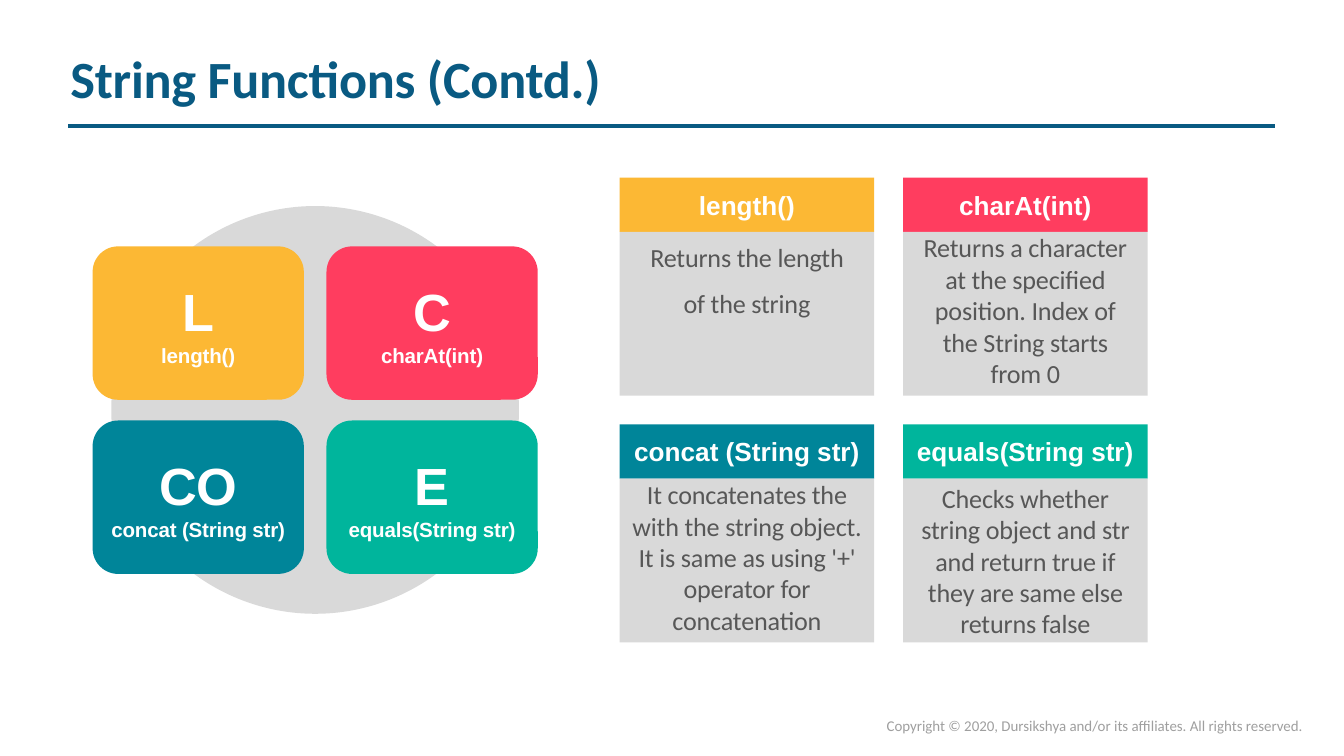
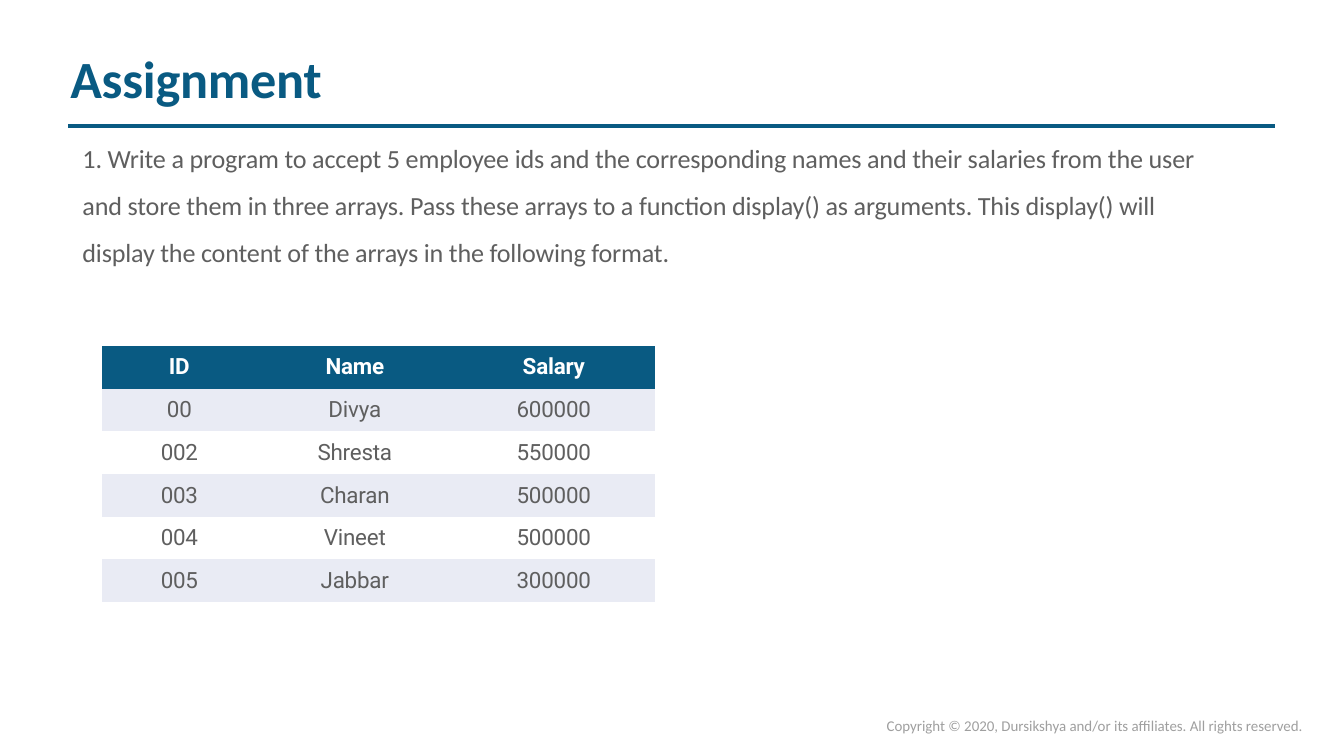
import pptx
import pptx.dml.color
import pptx.enum.shapes
import pptx.enum.text
import pptx.util
from lxml import etree

Pt = pptx.util.Pt
RGBColor = pptx.dml.color.RGBColor
MSO_SHAPE = pptx.enum.shapes.MSO_SHAPE
ANCHOR = pptx.enum.text.MSO_ANCHOR
ALIGN = pptx.enum.text.PP_ALIGN

COLORS = {
    "navy": "095A82", "gray": "D9D9D9", "white": "FFFFFF",
    "amber": "FCB834", "red": "FF3D5F", "teal": "008599", "green": "00B59C",
    "card text": "575757", "body text": "5F5F5F", "footer": "9F9F9F", "stripe": "E9EBF4",
}
NO_GRID_STYLE = "{2D5ABB26-0587-4C30-8999-92F81FD0307C}"


def write(frame, text, size, font, color, bold=False, alignment=ALIGN.CENTER,
          anchor=ANCHOR.MIDDLE, left=0, top=0, right=0, tracking=-10):
    frame.text = text
    frame.word_wrap = True
    frame.auto_size = pptx.enum.text.MSO_AUTO_SIZE.NONE
    frame.vertical_anchor = anchor
    frame.margin_left, frame.margin_top = Pt(left), Pt(top)
    frame.margin_right, frame.margin_bottom = Pt(right), 0
    for paragraph in frame.paragraphs:
        paragraph.alignment = alignment
        for run in paragraph.runs:
            run.font.size = Pt(size)
            run.font.name = font
            run.font.bold = bold
            run.font.color.rgb = RGBColor.from_string(COLORS[color])
            run.font._element.set("spc", str(tracking))


def add_block(slide, kind, left, top, width, height, color):
    shape = slide.shapes.add_shape(kind, Pt(left), Pt(top), Pt(width), Pt(height))
    shape.shadow.inherit = False
    shape.fill.solid()
    shape.fill.fore_color.rgb = RGBColor.from_string(COLORS[color])
    shape.line.fill.background()
    return shape


presentation = pptx.Presentation()
presentation.slide_width = Pt(720)
presentation.slide_height = Pt(405)

slides = []
for title_text, title_width in [("String Functions (Contd.)", 289), ("Assignment", 137)]:
    slide = presentation.slides.add_slide(presentation.slide_layouts[5])
    slides.append(slide)

    rule = slide.shapes.add_connector(
        pptx.enum.shapes.MSO_CONNECTOR.STRAIGHT, Pt(36.7), Pt(67.7), Pt(683.3), Pt(67.7))
    rule.line.color.rgb = RGBColor.from_string(COLORS["navy"])
    rule.line.width = Pt(2.28)
    etree.SubElement(rule._element.spPr, pptx.oxml.ns.qn("a:effectLst"))

    title = slide.shapes.title
    title.left, title.top, title.width, title.height = Pt(36.7), Pt(24), Pt(title_width), Pt(35)
    write(title.text_frame, title_text, 28, "Calibri", "navy", bold=True,
          alignment=ALIGN.LEFT, anchor=ANCHOR.TOP, left=1, top=1)
    title.text_frame.word_wrap = False

    footer = slide.shapes.add_textbox(Pt(474), Pt(385), Pt(231), Pt(10))
    write(footer.text_frame,
          "Copyright © 2020, Dursikshya and/or its affiliates. All rights reserved.",
          8, "Calibri", "footer", alignment=ALIGN.LEFT, anchor=ANCHOR.TOP, left=1, tracking=-3)
    footer.text_frame.paragraphs[0].line_spacing = Pt(8.7)

functions_slide, assignment_slide = slides

add_block(functions_slide, MSO_SHAPE.OVAL, 59.6, 110.4, 218.4, 218.4, "gray")

functions = [
    ("L", "length()", "amber", "Returns the length\nof the string", 0, 5),
    ("C", "charAt(int)", "red",
     "Returns a character\nat the specified position. Index of the String starts from 0", 11, 0),
    ("CO", "concat (String str)", "teal",
     "It concatenates the\nwith the string object. It is same as using '+' operator for concatenation", 4, 0),
    ("E", "equals(String str)", "green",
     "Checks whether string object and str and return true if they are same else returns false", 7, 2),
]
card_columns = [(332, 136.4), (483.8, 131)]

for index, (letters, signature, color, description, side, top_margin) in enumerate(functions):
    row, column = divmod(index, 2)

    tile = add_block(functions_slide, MSO_SHAPE.ROUNDED_RECTANGLE,
                     49.6 + 125.3 * column, 132 + 93.3 * row, 113.2, 82.2, color)
    write(tile.text_frame, f"{letters}\n{signature}", 28, "Arial", "white", bold=True)
    label = tile.text_frame.paragraphs[1]
    label.space_before = Pt(0.5)
    label.runs[0].font.size = Pt(11)

    card_left, card_width = card_columns[column]
    card_top = 95.2 + 132.2 * row
    header = add_block(functions_slide, MSO_SHAPE.RECTANGLE,
                       card_left, card_top, card_width, 29, color)
    write(header.text_frame, signature, 14, "Arial", "white", bold=True, tracking=0)
    body = add_block(functions_slide, MSO_SHAPE.RECTANGLE,
                     card_left, card_top + 29, card_width, 87.8, "gray")
    write(body.text_frame, description, 14, "Calibri", "card text",
          anchor=ANCHOR.TOP, left=side, top=top_margin, right=side)
    if signature == "length()":
        body.text_frame.paragraphs[1].space_before = Pt(8)

task = assignment_slide.shapes.add_textbox(Pt(43.2), Pt(67), Pt(606), Pt(78))
write(task.text_frame,
      "1. Write a program to accept 5 employee ids and the corresponding names and their salaries from the user\v"
      "and store them in three arrays. Pass these arrays to a function display() as arguments. This display() will\v"
      "display the content of the arrays in the following format.",
      14, "Calibri", "body text", alignment=ALIGN.LEFT, anchor=ANCHOR.TOP, left=1, top=1)
task.text_frame.paragraphs[0].line_spacing = 1.5

employees = [
    ("ID", "Name", "Salary"),
    ("00", "Divya", "600000"),
    ("002", "Shresta", "550000"),
    ("003", "Charan", "500000"),
    ("004", "Vineet", "500000"),
    ("005", "Jabbar", "300000"),
]
table = assignment_slide.shapes.add_table(
    len(employees), 3, Pt(54.7), Pt(185.3), Pt(296), Pt(137.4)).table
table._tbl.tblPr.find(pptx.oxml.ns.qn("a:tableStyleId")).text = NO_GRID_STYLE
for column, width in zip(table.columns, (82.8, 105.2, 108)):
    column.width = Pt(width)
for row_index, values in enumerate(employees):
    table.rows[row_index].height = Pt(22.9)
    is_header = row_index == 0
    for column_index, value in enumerate(values):
        cell = table.cell(row_index, column_index)
        write(cell.text_frame, value, 12, "Roboto",
              "white" if is_header else "body text", bold=is_header)
        cell.vertical_anchor = ANCHOR.MIDDLE
        cell.margin_left = cell.margin_top = cell.margin_right = cell.margin_bottom = 0
        if is_header or row_index % 2:
            cell.fill.solid()
            cell.fill.fore_color.rgb = RGBColor.from_string(COLORS["navy" if is_header else "stripe"])
        else:
            cell.fill.background()

presentation.save("out.pptx")
